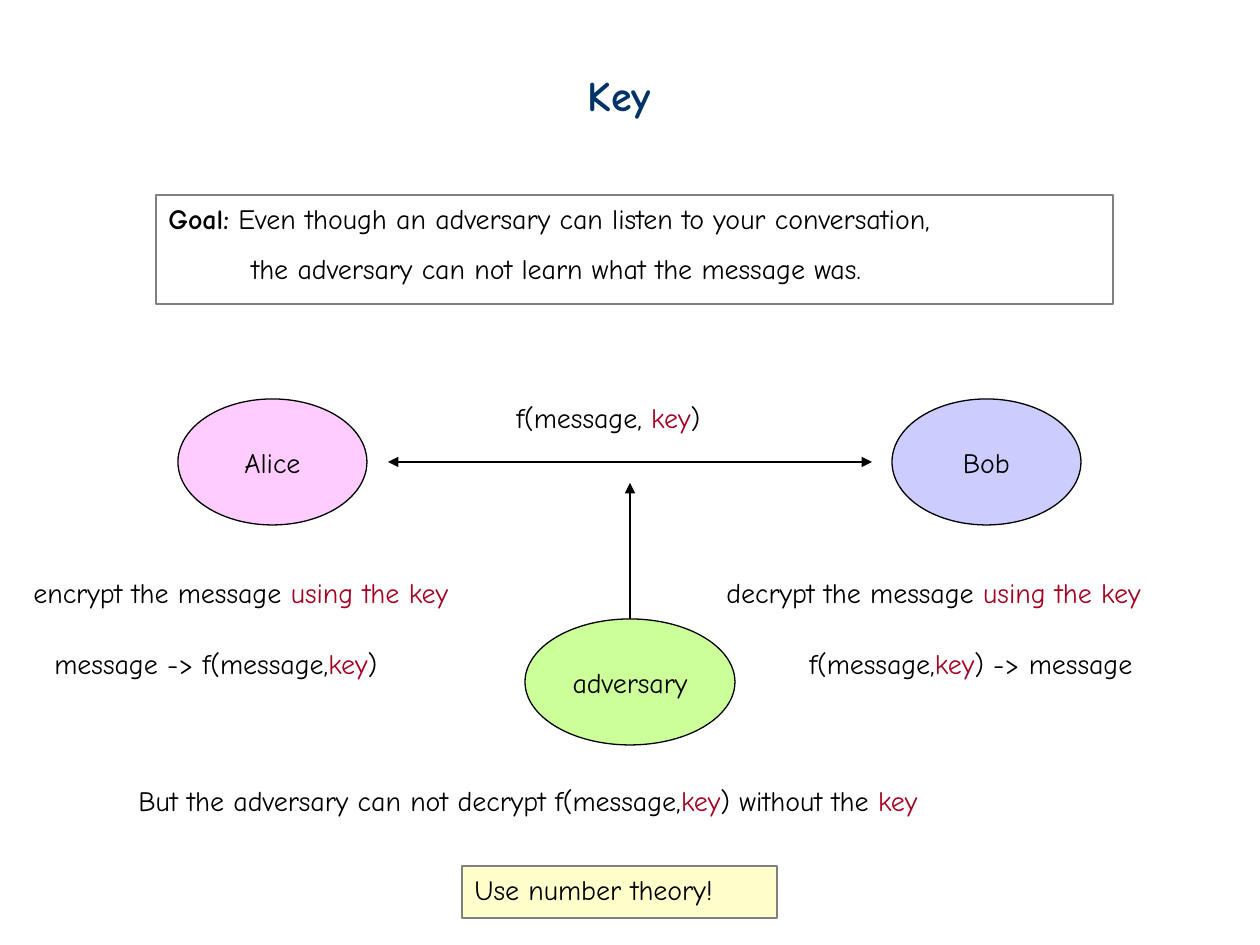
import pptx
import pptx.util
import pptx.dml.color
import pptx.enum.shapes
import pptx.enum.text
import pptx.oxml
import pptx.oxml.ns

RGBColor = pptx.dml.color.RGBColor
BLACK = RGBColor(0x00, 0x00, 0x00)
GRAY = RGBColor(0x80, 0x80, 0x80)
NAVY = RGBColor(0x00, 0x33, 0x66)
RED = RGBColor(0xA5, 0x00, 0x21)
PINK = RGBColor(0xFF, 0xCC, 0xFF)
LAVENDER = RGBColor(0xCC, 0xCC, 0xFF)
GREEN = RGBColor(0xCC, 0xFF, 0x99)
YELLOW = RGBColor(0xFF, 0xFF, 0xCC)
OVAL = pptx.enum.shapes.MSO_SHAPE.OVAL
RECT = pptx.enum.shapes.MSO_SHAPE.RECTANGLE
ALIGN = pptx.enum.text.PP_ALIGN
ANCHOR = pptx.enum.text.MSO_ANCHOR
FONT = "Comic Neue"


def px(*values):
    return [pptx.util.Emu(round(v * 914400 / 126)) for v in values]


def write(p, *runs, size=16, color=BLACK, bold=False, align=ALIGN.LEFT):
    p.alignment = align
    for run in runs:
        text, run_color = run if isinstance(run, tuple) else (run, color)
        r = p.add_run()
        r.text = text
        r.font.name = FONT
        r.font.size = pptx.util.Pt(size)
        r.font.bold = bold
        r.font.color.rgb = run_color


prs = pptx.Presentation()
prs.slide_width, prs.slide_height = px(1260, 945)
slide = prs.slides.add_slide(prs.slide_layouts[6])

shapes = {}
for name, kind, box, fill, line in [
    ("Alice", OVAL, (178, 399, 189, 126), PINK, BLACK),
    ("Bob", OVAL, (892, 399, 189, 126), LAVENDER, BLACK),
    ("adversary", OVAL, (525, 619, 210, 126), GREEN, BLACK),
    ("Goal", RECT, (156, 195, 957, 109), None, GRAY),
    ("Use number theory!", RECT, (462, 866, 315, 52), YELLOW, GRAY),
]:
    sp = slide.shapes.add_shape(kind, *px(*box))
    sp.shadow.inherit = False
    if fill is None:
        sp.fill.background()
    else:
        sp.fill.solid()
        sp.fill.fore_color.rgb = fill
    sp.line.color.rgb = line
    sp.line.width = pptx.util.Pt(0.75)
    tf = sp.text_frame
    tf.word_wrap = kind == RECT
    tf.vertical_anchor = ANCHOR.MIDDLE if kind == OVAL else ANCHOR.TOP
    if name != "Goal":
        write(tf.paragraphs[0], name, align=ALIGN.CENTER if kind == OVAL else ALIGN.LEFT)
    shapes[name] = sp

tf = shapes["Goal"].text_frame
p = tf.paragraphs[0]
write(p, "Goal:", bold=True)
write(p, " Even though an adversary can listen to your conversation,")
p = tf.add_paragraph()
p.line_spacing = 1.5
p._p.get_or_add_pPr().set("marL", str(px(83)[0]))
write(p, "the adversary can not learn what the message was.")

key = ("key", RED)
using = ("using the key", RED)
for box, runs, style in [
    ((575, 63, 97, 63), ["Key"], dict(size=24, color=NAVY, bold=True)),
    ((504, 394, 256, 50), ["f(message, ", key, ")"], {}),
    ((21, 569, 533, 50), ["encrypt the message ", using], {}),
    ((714, 569, 536, 50), ["decrypt the message ", using], {}),
    ((42, 640, 413, 50), ["message -> f(message,", key, ")"], {}),
    ((797, 640, 413, 50), ["f(message,", key, ") -> message"], {}),
    ((126, 777, 1003, 50), ["But the adversary can not decrypt f(message,", key, ") without the ", key], {}),
]:
    tf = slide.shapes.add_textbox(*px(*box)).text_frame
    tf.word_wrap = True
    write(tf.paragraphs[0], *runs, **style)

for ends, arrows, source in [
    ((388, 462, 872, 462), ("headEnd", "tailEnd"), None),
    ((630, 619, 630, 483), ("tailEnd",), "adversary"),
]:
    c = slide.shapes.add_connector(pptx.enum.shapes.MSO_CONNECTOR.STRAIGHT, *px(*ends))
    if source:
        c.begin_connect(shapes[source], 0)
    c.line.color.rgb = BLACK
    c.line.width = pptx.util.Pt(0.75)
    ln = c.line._get_or_add_ln()
    for arrow in arrows:
        ln.append(pptx.oxml.parse_xml(f'<a:{arrow} {pptx.oxml.ns.nsdecls("a")} type="triangle"/>'))
    c._element.spPr.append(pptx.oxml.parse_xml(f'<a:effectLst {pptx.oxml.ns.nsdecls("a")}/>'))

prs.save("out.pptx")
